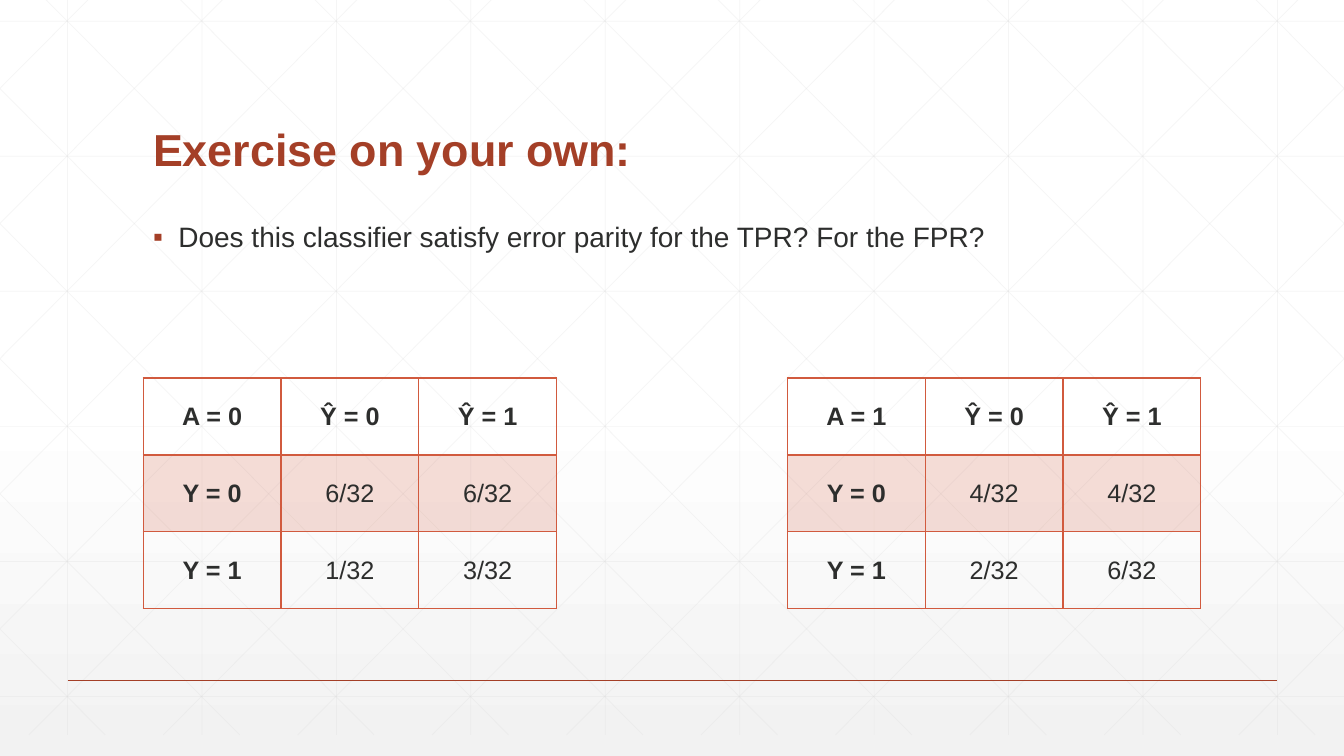
"""Build the error parity exercise slide with two confusion tables."""
import pptx
import pptx.util
import pptx.dml.color
import pptx.enum.shapes
import pptx.enum.text
import pptx.oxml
import pptx.oxml.ns
from lxml import etree

Inches = pptx.util.Inches
Pt = pptx.util.Pt
RGBColor = pptx.dml.color.RGBColor
ALIGN = pptx.enum.text.PP_ALIGN
ANCHOR = pptx.enum.text.MSO_ANCHOR
qn = pptx.oxml.ns.qn

WHITE = RGBColor(0xFF, 0xFF, 0xFF)
PALE = RGBColor(0xF2, 0xF2, 0xF2)
MESH = RGBColor(0xD9, 0xD9, 0xD9)
RUST = RGBColor(0xA4, 0x3F, 0x27)
ORANGE = RGBColor(0xD1, 0x5A, 0x3E)
INK = RGBColor(0x2D, 0x2E, 0x2D)

WIDTH, HEIGHT = 13.33, 7.5
TOP, BOTTOM = -0.21, 7.29
STEP = 4 / 3
RUN = 7.46


def write(tf, text, size=18, bold=False, color=INK, align=ALIGN.LEFT, spacing=None):
    """Write one formatted paragraph and return it."""
    tf.word_wrap = True
    p = tf.paragraphs[0]
    p.alignment = align
    p.line_spacing = spacing
    r = p.add_run()
    r.text = text
    r.font.name = "Arial"
    r.font.size = Pt(size)
    r.font.bold = bold
    r.font.color.rgb = color
    return p


def draw_line(x1, y1, x2, y2, color=MESH, width=0.5, alpha=25):
    """Draw a straight line with the given opacity in percent."""
    sp = s.shapes.add_connector(pptx.enum.shapes.MSO_CONNECTOR.STRAIGHT,
                                Inches(x1), Inches(y1), Inches(x2), Inches(y2))
    sp.line.color.rgb = color
    sp.line.width = Pt(width)
    clr = sp.line._ln.find(".//" + qn("a:srgbClr"))
    etree.SubElement(clr, qn("a:alpha"), val=str(alpha * 1000))
    etree.SubElement(sp._element.spPr, qn("a:effectLst"))


prs = pptx.Presentation()
prs.slide_width = Inches(WIDTH)
prs.slide_height = Inches(HEIGHT)
s = prs.slides.add_slide(prs.slide_layouts[6])

fill = s.background.fill
fill.gradient()
fill.gradient_angle = 270
for stop, position, color in zip(fill.gradient_stops, (0.53, 1), (WHITE, PALE)):
    stop.position = position
    stop.color.rgb = color

for i in range(10):
    x = 0.67 + i * STEP
    draw_line(x, TOP, x, BOTTOM)
for i in range(6):
    y = 0.21 + i * 1.34
    draw_line(0, y, WIDTH, y)
slope = (BOTTOM - TOP) / RUN
for i in range(-5, 10):
    start = 0.25 + i * STEP
    x1, x2 = max(start, 0), min(start + RUN, WIDTH)
    y1, y2 = (TOP + (x - start) * slope for x in (x1, x2))
    draw_line(x1, y1, x2, y2)
    draw_line(WIDTH - x1, y1, WIDTH - x2, y2)
draw_line(0.67, 6.75, 12.67, 6.75, color=RUST, width=1, alpha=100)

title = s.shapes.add_textbox(Inches(1.42), Inches(0.55), Inches(10.5), Inches(1.25))
title.text_frame.vertical_anchor = ANCHOR.BOTTOM
write(title.text_frame, "Exercise on your own:", size=32, bold=True, color=RUST, spacing=0.9)

body = s.shapes.add_textbox(Inches(1.42), Inches(2.17), Inches(10.5), Inches(4.17))
p = write(body.text_frame, "Does this classifier satisfy error parity for the TPR? For the FPR?",
          size=20, spacing=0.9)
p.space_before = Pt(18)
pPr = p._p.get_or_add_pPr()
pPr.set("marL", str(Inches(0.25)))
pPr.set("indent", str(Inches(-0.25)))
bullet_color = etree.SubElement(pPr, qn("a:buClr"))
etree.SubElement(bullet_color, qn("a:srgbClr"), val=str(RUST))
etree.SubElement(pPr, qn("a:buFont"), typeface="Arial")
etree.SubElement(pPr, qn("a:buChar"), char="▪")

TABLES = [
    (1.42, [["A = 0", "Ŷ = 0", "Ŷ = 1"],
            ["Y = 0", "6/32", "6/32"],
            ["Y = 1", "1/32", "3/32"]]),
    (7.81, [["A = 1", "Ŷ = 0", "Ŷ = 1"],
            ["Y = 0", "4/32", "4/32"],
            ["Y = 1", "2/32", "6/32"]]),
]
for left, rows in TABLES:
    table = s.shapes.add_table(3, 3, Inches(left), Inches(3.75), Inches(4.1), Inches(2.29)).table
    for i, row in enumerate(rows):
        for j, text in enumerate(row):
            cell = table.cell(i, j)
            cell.vertical_anchor = ANCHOR.MIDDLE
            write(cell.text_frame, text, bold=i == 0 or j == 0, align=ALIGN.CENTER)
            tcPr = cell._tc.get_or_add_tcPr()
            for side in "LRTB":
                width = 2 if i == 0 and side == "B" else 1
                ln = etree.SubElement(tcPr, qn("a:ln" + side), w=str(Pt(width)))
                solid = etree.SubElement(ln, qn("a:solidFill"))
                etree.SubElement(solid, qn("a:srgbClr"), val=str(ORANGE))
            if i == 1:
                cell.fill.solid()
                cell.fill.fore_color.rgb = ORANGE
                clr = tcPr.find(qn("a:solidFill") + "/" + qn("a:srgbClr"))
                etree.SubElement(clr, qn("a:alpha"), val="20000")
            else:
                cell.fill.background()

prs.save("out.pptx")
